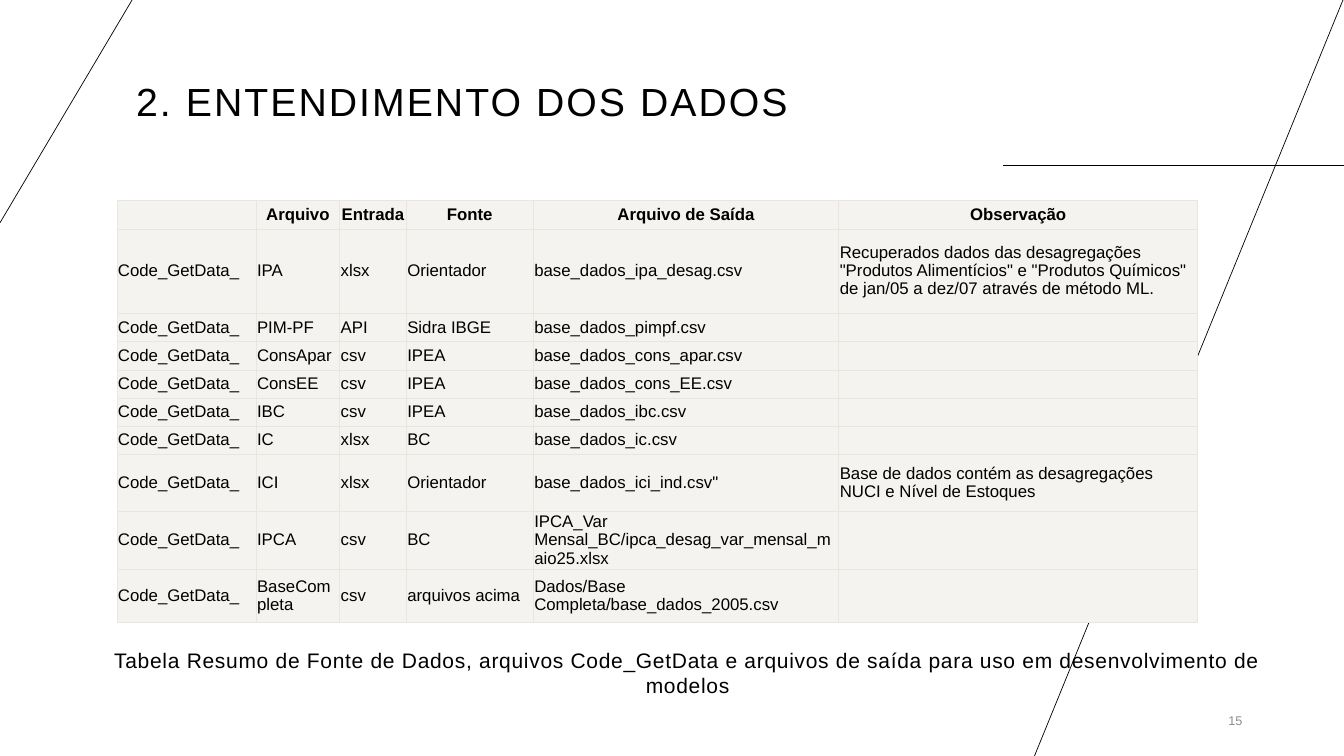
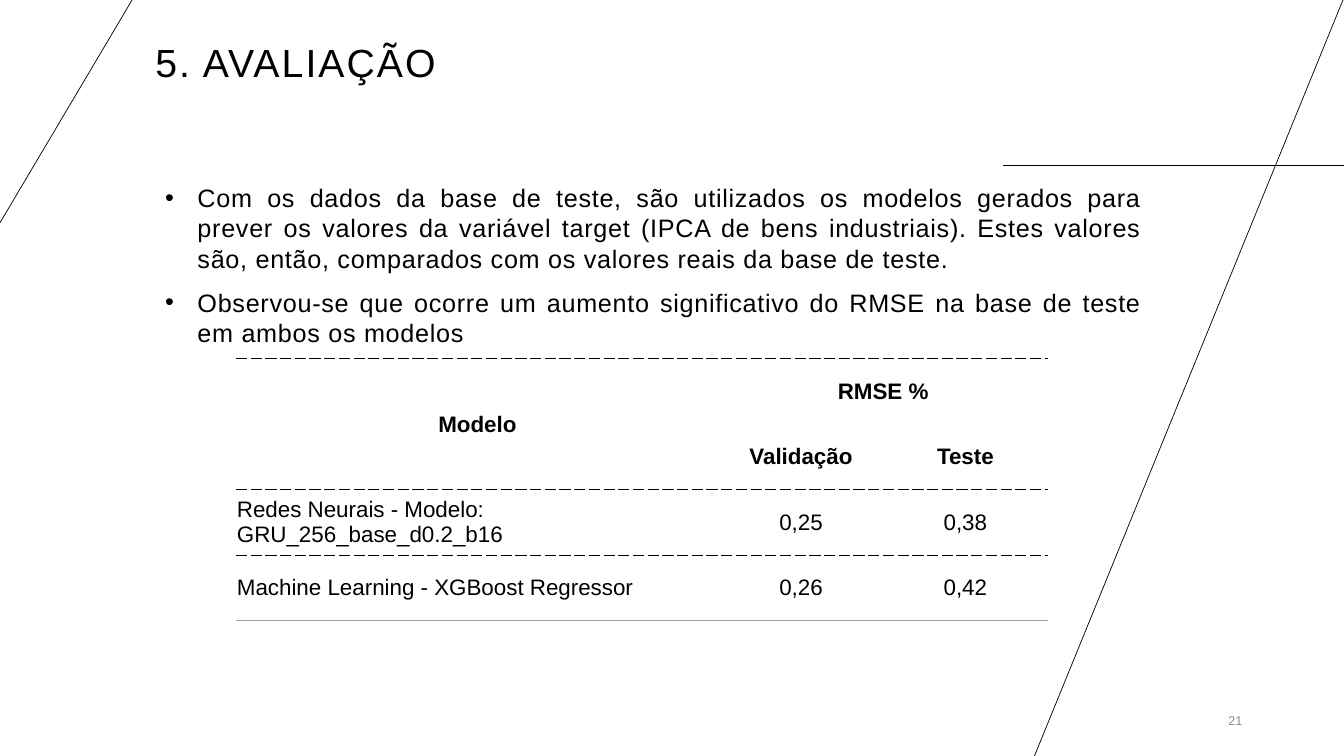
from dataclasses import dataclass

from lxml import etree
from pptx import Presentation
from pptx.dml.color import RGBColor
from pptx.enum.shapes import MSO_CONNECTOR
from pptx.enum.text import MSO_ANCHOR, MSO_AUTO_SIZE, PP_ALIGN
from pptx.oxml.ns import qn
from pptx.util import Inches, Pt

LEFT, CENTER, RIGHT, JUSTIFY = PP_ALIGN.LEFT, PP_ALIGN.CENTER, PP_ALIGN.RIGHT, PP_ALIGN.JUSTIFY
MIDDLE, BOTTOM, TOP = MSO_ANCHOR.MIDDLE, MSO_ANCHOR.BOTTOM, MSO_ANCHOR.TOP
STRAIGHT = MSO_CONNECTOR.STRAIGHT
NO_AUTOFIT = MSO_AUTO_SIZE.NONE

FONT = "Arial"
BLACK, GRAY, RULE_GRAY = "000000", "8C8C8C", "A5A5A5"
CELL_FILL, CELL_BORDER = "F5F3EF", "E9E6DF"
PLAIN_TABLE_STYLE = "{2D5ABB26-0587-4C30-8999-92F81FD0307C}"
TITLE_ONLY = 5
BULLET_INDENT = 0.32


@dataclass(frozen=True)
class Box:
    left: float
    top: float
    width: float
    height: float

    def lengths(self) -> tuple:
        return tuple(Inches(v) for v in (self.left, self.top, self.width, self.height))


@dataclass(frozen=True)
class TextStyle:
    size: float
    color: str = BLACK
    bold: bool = False
    align: PP_ALIGN = LEFT
    spacing: float = 0  # between letters, in points
    line_spacing: float = 1.0
    space_before: float = 0


@dataclass(frozen=True)
class Border:
    color: str
    width: float
    dash: str = "solid"


@dataclass(frozen=True)
class Line:
    start: tuple[float, float]
    end: tuple[float, float]


TITLE = TextStyle(28, spacing=1.5, line_spacing=0.9)
NUMBER = TextStyle(9, GRAY, align=RIGHT)
CAPTION = TextStyle(15, align=CENTER, spacing=0.5, space_before=10)
BULLET = TextStyle(18, align=JUSTIFY, spacing=0.5, space_before=10)
SOURCE_HEAD = TextStyle(12, bold=True, align=CENTER)
SOURCE_BODY = TextStyle(12, line_spacing=0.97)
SCORE_HEAD = TextStyle(16, bold=True, align=CENTER)
SCORE_MODEL = TextStyle(16)
SCORE_VALUE = TextStyle(16, align=CENTER)

DECOR_LINES = (
    Line((9.95, 1.64), (13.33, 1.64)),
    Line((13.32, 0), (10.26, 7.5)),
    Line((0, 2.21), (1.31, 0)),
)
NUMBER_BOX = Box(11.34, 6.95, 1.08, 0.4)

SOURCE_COLUMNS = (1.38, 0.83, 0.66, 1.26, 3.03, 3.56)
SOURCE_ROWS = (0.28, 0.84, *[0.28] * 5, 0.56, 0.56, 0.52)
SOURCE_HEADER = ("", "Arquivo", "Entrada", "Fonte", "Arquivo de Saída", "Observação")
SOURCES = (
    ("IPA", "xlsx", "Orientador", "base_dados_ipa_desag.csv",
     'Recuperados dados das desagregações "Produtos Alimentícios" e '
     '"Produtos Químicos" de jan/05 a dez/07 através de método ML.'),
    ("PIM-PF", "API", "Sidra IBGE", "base_dados_pimpf.csv", ""),
    ("ConsApar", "csv", "IPEA", "base_dados_cons_apar.csv", ""),
    ("ConsEE", "csv", "IPEA", "base_dados_cons_EE.csv", ""),
    ("IBC", "csv", "IPEA", "base_dados_ibc.csv", ""),
    ("IC", "xlsx", "BC", "base_dados_ic.csv", ""),
    ("ICI", "xlsx", "Orientador", 'base_dados_ici_ind.csv"',
     "Base de dados contém as desagregações NUCI e Nível de Estoques"),
    ("IPCA", "csv", "BC", "IPCA_Var Mensal_BC/ipca_desag_var_mensal_maio25.xlsx", ""),
    ("BaseCompleta", "csv", "arquivos acima", "Dados/Base Completa/base_dados_2005.csv", ""),
)

SCORE_COLUMNS = (4.79, 1.63, 1.63)
SCORE_ROWS = (0.65,) * 4
SCORES = (
    ("Modelo", "RMSE %", ""),
    ("", "Validação", "Teste"),
    ("Redes Neurais - Modelo: GRU_256_base_d0.2_b16", "0,25", "0,38"),
    ("Machine Learning - XGBoost Regressor", "0,26", "0,42"),
)
FINDINGS = (
    "Com os dados da base de teste, são utilizados os modelos gerados para prever os "
    "valores da variável target (IPCA de bens industriais). Estes valores são, então, "
    "comparados com os valores reais da base de teste.",
    "Observou-se que ocorre um aumento significativo do RMSE na base de teste em ambos "
    "os modelos",
)


def rgb(color: str) -> RGBColor:
    return RGBColor.from_string(color)


def apply(target, values: dict) -> None:
    for name, value in values.items():
        setattr(target, name, value)


def write_paragraph(paragraph, text: str, style: TextStyle) -> None:
    apply(paragraph, {
        "alignment": style.align,
        "line_spacing": style.line_spacing,
        "space_before": Pt(style.space_before),
    })
    if not text:  # keeps an empty cell from growing its row
        end = etree.SubElement(paragraph._p, qn("a:endParaRPr"))
        end.set("sz", str(int(style.size * 100)))
        return
    run = paragraph.add_run()
    run.text = text
    apply(run.font, {"name": FONT, "size": Pt(style.size), "bold": style.bold})
    run.font.color.rgb = rgb(style.color)
    if style.spacing:
        run._r.get_or_add_rPr().set("spc", str(int(style.spacing * 100)))


def add_text(slide, box: Box, texts: tuple, style: TextStyle, anchor=TOP):
    shape = slide.shapes.add_textbox(*box.lengths())
    frame = shape.text_frame
    apply(frame, {"word_wrap": True, "vertical_anchor": anchor})
    for index, text in enumerate(texts):
        paragraph = frame.add_paragraph() if index else frame.paragraphs[0]
        write_paragraph(paragraph, text, style)
    return shape


def add_bullets(slide, box: Box, texts: tuple) -> None:
    shape = add_text(slide, box, texts, BULLET)
    for paragraph in shape.text_frame.paragraphs:
        properties = paragraph._p.get_or_add_pPr()
        properties.set("marL", str(Inches(BULLET_INDENT)))
        properties.set("indent", str(-Inches(BULLET_INDENT)))
        etree.SubElement(properties, qn("a:buFont")).set("typeface", FONT)
        etree.SubElement(properties, qn("a:buChar")).set("char", "•")


def add_line(slide, line: Line) -> None:
    ends = [Inches(value) for value in (*line.start, *line.end)]
    connector = slide.shapes.add_connector(STRAIGHT, *ends)
    connector.line.color.rgb = rgb(BLACK)
    connector.line.width = Pt(0.5)
    etree.SubElement(connector._element.spPr, qn("a:effectLst"))


def add_slide(presentation, title: str, title_box: Box, number: int):
    slide = presentation.slides.add_slide(presentation.slide_layouts[TITLE_ONLY])
    shape = slide.shapes.title
    apply(shape, dict(zip(("left", "top", "width", "height"), title_box.lengths())))
    apply(shape.text_frame, {
        "word_wrap": True, "auto_size": NO_AUTOFIT, "vertical_anchor": BOTTOM,
    })
    write_paragraph(shape.text_frame.paragraphs[0], title, TITLE)
    for line in DECOR_LINES:
        add_line(slide, line)
    add_text(slide, NUMBER_BOX, (str(number),), NUMBER, MIDDLE)
    return slide


def add_table(slide, left: float, top: float, columns: tuple, rows: tuple):
    box = Box(left, top, sum(columns), sum(rows))
    table = slide.shapes.add_table(len(rows), len(columns), *box.lengths()).table
    apply(table, {"first_row": False, "horz_banding": False})
    table._tbl.tblPr.find(qn("a:tableStyleId")).text = PLAIN_TABLE_STYLE
    for column, width in zip(table.columns, columns):
        column.width = Inches(width)
    for row, height in zip(table.rows, rows):
        row.height = Inches(height)
    return table


def fill_cell(cell, text: str, style: TextStyle, borders: dict[str, Border],
              fill: str = "") -> None:
    """Borders are keyed by side: L, R, T, B."""
    edge = Inches(0.01)
    apply(cell, {
        "margin_left": edge, "margin_right": edge, "margin_top": 0,
        "margin_bottom": 0, "vertical_anchor": MIDDLE,
    })
    write_paragraph(cell.text_frame.paragraphs[0], text, style)
    properties = cell._tc.get_or_add_tcPr()
    for side in "LRTB":
        if side not in borders:
            continue
        border = borders[side]
        line = etree.SubElement(properties, qn(f"a:ln{side}"), w=str(Pt(border.width)))
        color = etree.SubElement(line, qn("a:solidFill"))
        etree.SubElement(color, qn("a:srgbClr"), val=border.color)
        etree.SubElement(line, qn("a:prstDash"), val=border.dash)
    if fill:
        cell.fill.solid()
        cell.fill.fore_color.rgb = rgb(fill)
    else:
        cell.fill.background()


def build_sources(presentation) -> None:
    slide = add_slide(presentation, "2. ENTENDIMENTO DOS DADOS", Box(1.25, 0, 8.82, 1.29), 15)
    table = add_table(slide, 1.16, 1.99, SOURCE_COLUMNS, SOURCE_ROWS)
    borders = dict.fromkeys("LRTB", Border(CELL_BORDER, 0.5))
    records = [SOURCE_HEADER, *(("Code_GetData_", *source) for source in SOURCES)]
    for row, record in enumerate(records):
        style = SOURCE_BODY if row else SOURCE_HEAD
        for column, text in enumerate(record):
            fill_cell(table.cell(row, column), text, style, borders, CELL_FILL)
    add_text(slide, Box(0.7, 6.37, 12.24, 0.58), (
        "Tabela Resumo de Fonte de Dados, arquivos Code_GetData e arquivos de saída "
        "para uso em desenvolvimento de modelos",
    ), CAPTION)


def build_scores(presentation) -> None:
    slide = add_slide(presentation, "5. AVALIAÇÃO", Box(1.44, 0.1, 7.97, 0.8), 21)
    add_bullets(slide, Box(1.54, 1.76, 9.89, 5.19), FINDINGS)
    table = add_table(slide, 2.34, 3.56, SCORE_COLUMNS, SCORE_ROWS)
    table.cell(0, 0).merge(table.cell(1, 0))
    table.cell(0, 1).merge(table.cell(0, 2))
    dashed = Border(BLACK, 1, "sysDash")
    row_borders = ({"T": dashed}, {"B": dashed}, {"T": dashed, "B": dashed},
                   {"T": dashed, "B": Border(RULE_GRAY, 0.75)})
    for row, record in enumerate(SCORES):
        for column, text in enumerate(record):
            if row < 2:
                style = SCORE_HEAD
            else:
                style = SCORE_VALUE if column else SCORE_MODEL
            borders = dict(row_borders[row])
            if (row, column) == (0, 0):  # spans both header rows
                borders["B"] = dashed
            fill_cell(table.cell(row, column), text, style, borders)


def main() -> None:
    presentation = Presentation()
    presentation.slide_width = Inches(13.33)
    presentation.slide_height = Inches(7.5)
    build_sources(presentation)
    build_scores(presentation)
    presentation.save("out.pptx")


if __name__ == "__main__":
    main()
